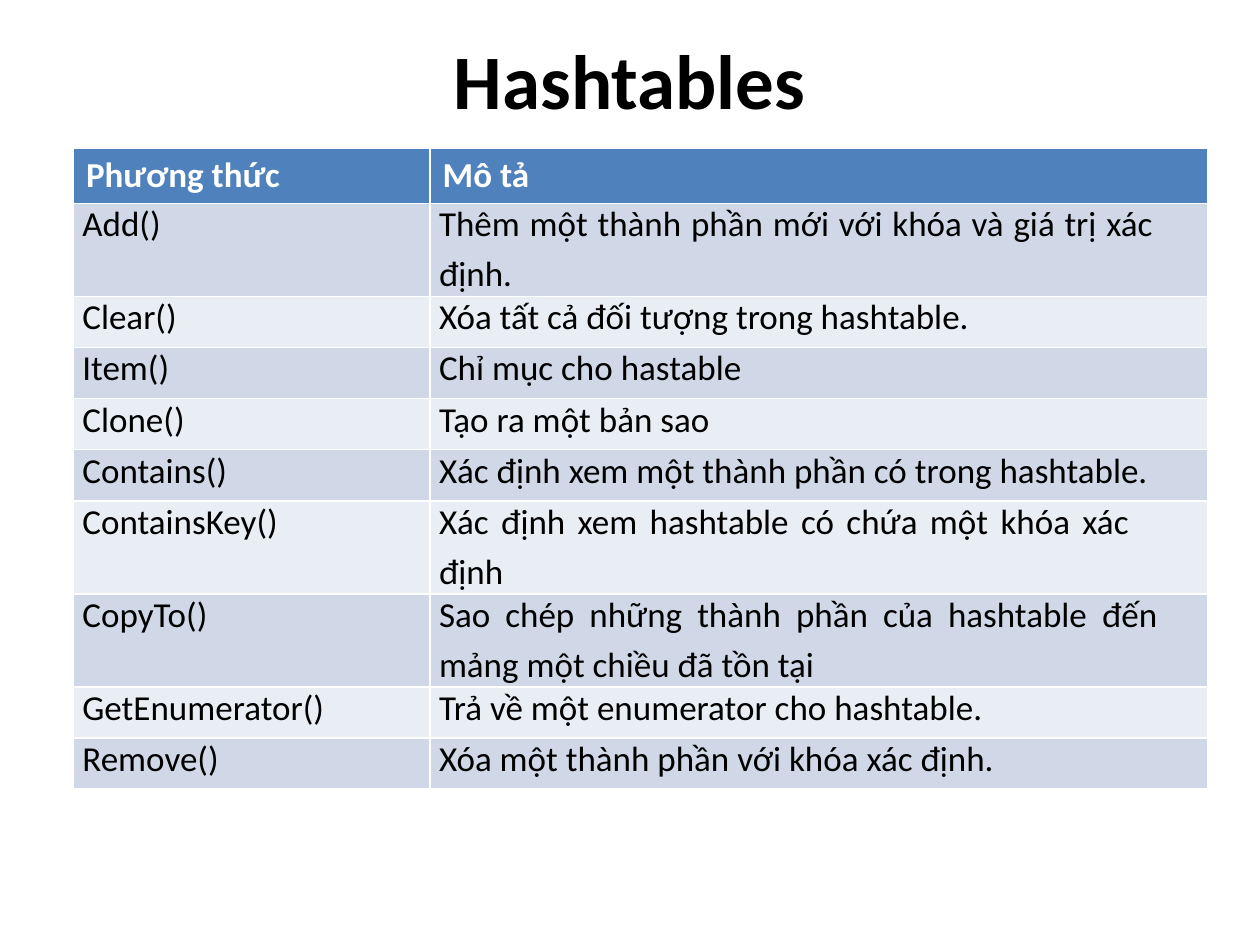
from pptx import Presentation
from pptx.dml.color import RGBColor
from pptx.enum.text import MSO_ANCHOR, PP_ALIGN
from pptx.util import Cm, Pt

TITLE = "Hashtables"
HEADERS = ("Phương thức", "Mô tả")
# Method, description lines, extra points on each space of the first line
METHODS = [
    ("Add()", ["Thêm một thành phần mới với khóa và giá trị xác", "định."], 1),
    ("Clear()", ["Xóa tất cả đối tượng trong hashtable."], 0),
    ("Item()", ["Chỉ mục cho hastable"], 0),
    ("Clone()", ["Tạo ra một bản sao"], 0),
    ("Contains()", ["Xác định xem một thành phần có trong hashtable."], 0),
    ("ContainsKey()", ["Xác định xem hashtable có chứa một khóa xác", "định"], 2.5),
    ("CopyTo()", ["Sao chép những thành phần của hashtable đến",
                  "mảng một chiều đã tồn tại"], 4),
    ("GetEnumerator()", ["Trả về một enumerator cho hashtable."], 0),
    ("Remove()", ["Xóa một thành phần với khóa xác định."], 0),
]

BLACK = RGBColor(0x00, 0x00, 0x00)
WHITE = RGBColor(0xFF, 0xFF, 0xFF)
HEADER_BLUE = RGBColor(0x4F, 0x81, 0xBD)
BANDS = (RGBColor(0xD0, 0xD8, 0xE8), RGBColor(0xE9, 0xED, 0xF4))
COLUMN_WIDTHS = (Cm(7.19), Cm(15.67))
ROW_HEIGHT = Cm(1.03)
TEXT_INDENT = Cm(0.18)
LINE_GAP = Pt(4.2)


def style(paragraph, size, color, bold=False):
    font = paragraph.font
    font.name, font.size, font.bold = "Calibri", Pt(size), bold
    font.color.rgb = color


def fill_cell(cell, color):
    cell.fill.solid()
    cell.fill.fore_color.rgb = color


def write_line(paragraph, text, extra_space):
    if not extra_space:
        paragraph.add_run().text = text
        return
    for index, word in enumerate(text.split(" ")):
        if index:
            space = paragraph.add_run()
            space.text = " "
            space.font._element.set("spc", str(int(extra_space * 100)))
        paragraph.add_run().text = word


def write_body_cell(cell, lines, color, extra_space=0):
    fill_cell(cell, color)
    cell.margin_left = TEXT_INDENT
    cell.margin_right = cell.margin_top = cell.margin_bottom = 0
    frame = cell.text_frame
    for index, line in enumerate(lines):
        paragraph = frame.add_paragraph() if index else frame.paragraphs[0]
        write_line(paragraph, line, 0 if index else extra_space)
        if index:
            paragraph.space_before = LINE_GAP
        style(paragraph, 20, BLACK)


presentation = Presentation()
presentation.slide_width, presentation.slide_height = Cm(25.4), Cm(19.05)
slide = presentation.slides.add_slide(presentation.slide_layouts[6])

# Method table
table = slide.shapes.add_table(
    len(METHODS) + 1, len(HEADERS), Cm(1.48), Cm(2.98),
    sum(COLUMN_WIDTHS), ROW_HEIGHT * (len(METHODS) + 1)).table
for column, width in zip(table.columns, COLUMN_WIDTHS):
    column.width = width
for column, header in enumerate(HEADERS):
    cell = table.cell(0, column)
    fill_cell(cell, HEADER_BLUE)
    cell.text = header
    style(cell.text_frame.paragraphs[0], 20, WHITE, bold=True)
for row, (method, lines, extra_space) in enumerate(METHODS, start=1):
    band = BANDS[(row - 1) % 2]
    write_body_cell(table.cell(row, 0), [method], band)
    write_body_cell(table.cell(row, 1), lines, band, extra_space)

# Title
title = slide.shapes.add_textbox(Cm(1.27), 0, Cm(22.86), Cm(3.18))
title.text_frame.word_wrap = True
title.text_frame.vertical_anchor = MSO_ANCHOR.MIDDLE
paragraph = title.text_frame.paragraphs[0]
paragraph.text = TITLE
paragraph.alignment = PP_ALIGN.CENTER
style(paragraph, 44, BLACK, bold=True)

presentation.save("out.pptx")
